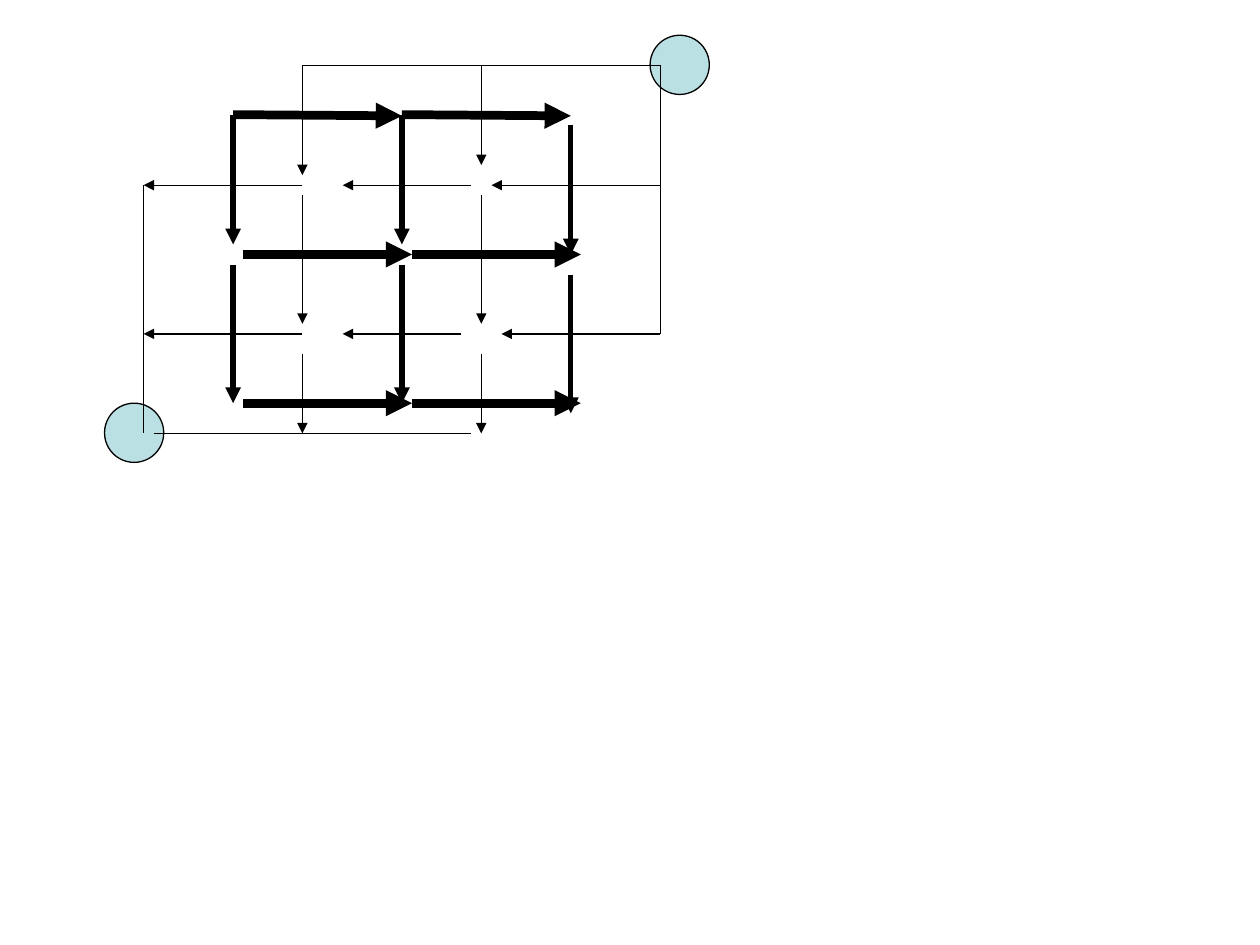
from dataclasses import dataclass

from lxml import etree
from pptx import Presentation
from pptx.dml.color import RGBColor
from pptx.enum.shapes import MSO_CONNECTOR, MSO_SHAPE
from pptx.oxml.ns import qn
from pptx.util import Pt

STRAIGHT = MSO_CONNECTOR.STRAIGHT
OVAL = MSO_SHAPE.OVAL

BLACK = RGBColor(0x00, 0x00, 0x00)
PALE_TEAL = RGBColor(0xBB, 0xE0, 0xE3)
WHITE = RGBColor(0xFF, 0xFF, 0xFF)

EMU_PER_PX = 9144  # 100 px to the inch
SLIDE_WIDTH, SLIDE_HEIGHT = 1000, 750

# Line weights in points
ROW_WEIGHT, COLUMN_WEIGHT, THIN_WEIGHT = 5, 3, 0.75

# Main grid and the lines of the dual graph
COLUMN_STEP = 134
NODE_SIZE = 47
DUAL_LEFT, DUAL_FIRST, DUAL_SECOND, DUAL_RIGHT = 114, 240, 382, 524
DUAL_TOP, DUAL_UPPER, DUAL_LOWER, DUAL_BOTTOM = 52, 147, 265, 344


@dataclass(frozen=True)
class Line:
    x1: int
    y1: int
    x2: int
    y2: int
    weight: float = THIN_WEIGHT
    arrow: bool = True


@dataclass(frozen=True)
class Node:
    left: int
    top: int


def px(length: int) -> int:
    return length * EMU_PER_PX


def draw_line(slide, line: Line) -> None:
    connector = slide.shapes.add_connector(
        STRAIGHT, px(line.x1), px(line.y1), px(line.x2), px(line.y2))
    connector.line.color.rgb = BLACK
    connector.line.width = Pt(line.weight)
    if line.arrow:
        outline = connector.line._get_or_add_ln()
        etree.SubElement(outline, qn("a:tailEnd"), type="triangle")
    etree.SubElement(connector._element.spPr, qn("a:effectLst"))


def draw_node(slide, node: Node) -> None:
    shape = slide.shapes.add_shape(
        OVAL, px(node.left), px(node.top), px(NODE_SIZE), px(NODE_SIZE))
    shape.shadow.inherit = False
    shape.fill.solid()
    shape.fill.fore_color.rgb = PALE_TEAL
    shape.line.color.rgb = BLACK
    shape.line.width = Pt(THIN_WEIGHT)


# Thick grid arrows: rows as (left, start y, end y)
ROWS = [(185, 91, 92), (193, 202, 202), (193, 320, 320)]
ROW_ARROWS = [
    Line(left + step, start, left + step + COLUMN_STEP, end, ROW_WEIGHT)
    for left, start, end in ROWS
    for step in (0, COLUMN_STEP)
]

# Columns as (x, vertical shift), each with an upper and a lower arrow
COLUMNS = [(185, 0), (319, 0), (453, 8)]
COLUMN_ARROWS = [
    Line(x, start + shift, x, end + shift, COLUMN_WEIGHT)
    for x, shift in COLUMNS
    for start, end in ((91, 194), (210, 320))
]

NODES = [Node(83, 320), Node(516, 28)]

# Thin lines that gather the dual arrows at each node
DUAL_RAILS = [
    Line(DUAL_FIRST, DUAL_TOP, DUAL_RIGHT, DUAL_TOP, arrow=False),
    Line(DUAL_RIGHT, DUAL_TOP, DUAL_RIGHT, DUAL_LOWER, arrow=False),
    Line(122, DUAL_BOTTOM, 374, DUAL_BOTTOM, arrow=False),
    Line(DUAL_LEFT, DUAL_UPPER, DUAL_LEFT, DUAL_BOTTOM, arrow=False),
]

# Thin arrows downwards, three in each dual column
DUAL_DOWN = [
    Line(x, start, x, end)
    for x, first_end in ((DUAL_FIRST, 139), (DUAL_SECOND, 131))
    for start, end in ((DUAL_TOP, first_end), (155, 257), (281, DUAL_BOTTOM))
]

# Thin arrows leftwards, three in each dual row
DUAL_LEFTWARD = [
    Line(start, y, end, y)
    for y, right_end, middle_start in ((DUAL_UPPER, 390, 374),
                                       (DUAL_LOWER, 398, 366))
    for start, end in ((DUAL_RIGHT, right_end), (middle_start, 272),
                       (DUAL_FIRST, DUAL_LEFT))
]


def main() -> None:
    presentation = Presentation()
    presentation.slide_width = px(SLIDE_WIDTH)
    presentation.slide_height = px(SLIDE_HEIGHT)
    slide = presentation.slides.add_slide(presentation.slide_layouts[6])
    slide.background.fill.solid()
    slide.background.fill.fore_color.rgb = WHITE

    for line in ROW_ARROWS + COLUMN_ARROWS:
        draw_line(slide, line)
    for node in NODES:
        draw_node(slide, node)
    for line in DUAL_RAILS + DUAL_DOWN + DUAL_LEFTWARD:
        draw_line(slide, line)

    presentation.save("out.pptx")


if __name__ == "__main__":
    main()
